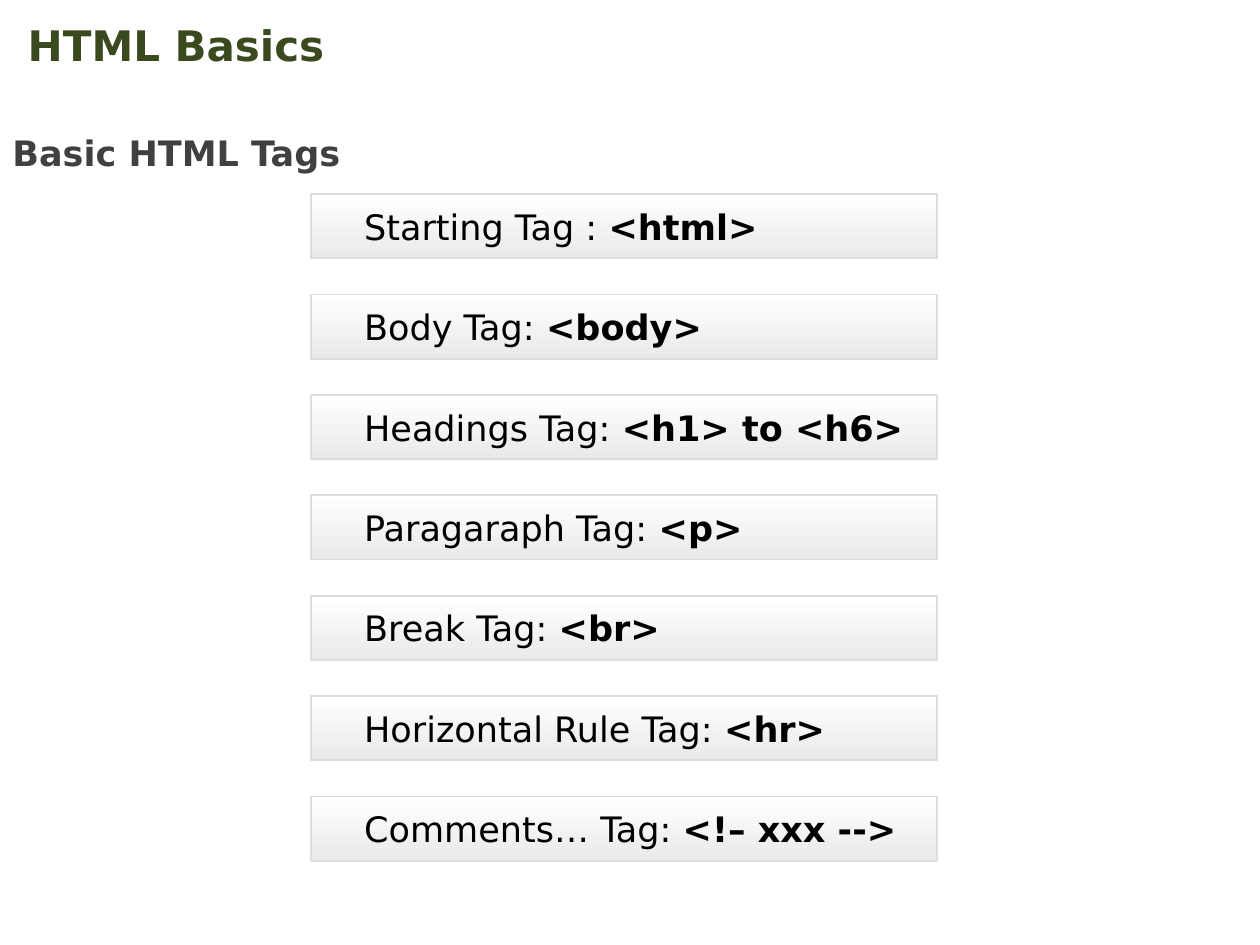
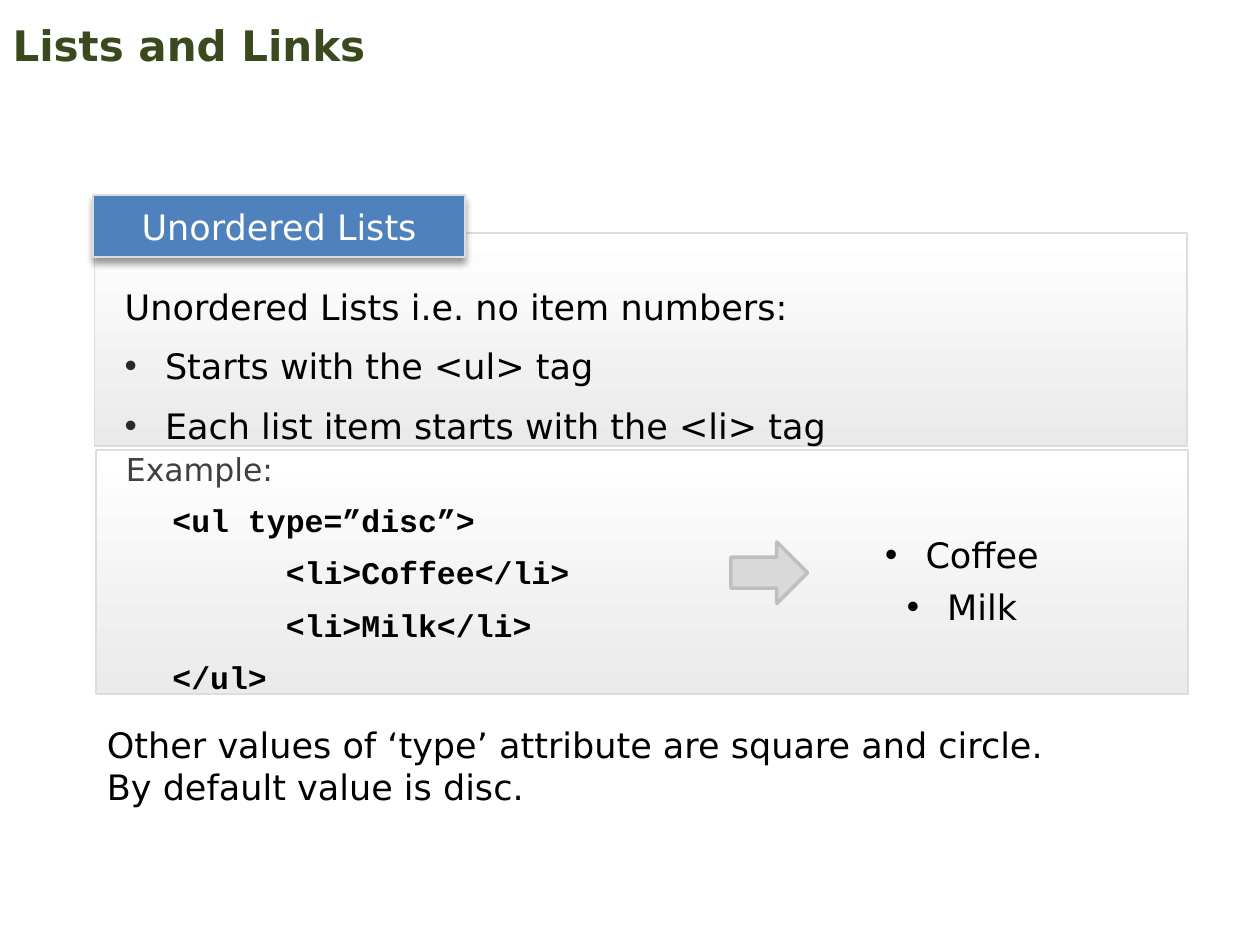
from lxml.etree import SubElement
from pptx import Presentation
from pptx.dml.color import RGBColor
from pptx.enum.shapes import MSO_SHAPE
from pptx.enum.text import MSO_ANCHOR, MSO_AUTO_SIZE, PP_ALIGN
from pptx.oxml.ns import qn
from pptx.util import Inches, Pt

SANS, MONO = "DejaVu Sans", "Courier New"
TITLE_GREEN, HEADING_GREY, BULLET_GREY = "3B4A1E", "404040", "292929"
BLACK, WHITE, BLUE = "000000", "FFFFFF", "4F81BD"
PANEL_BOTTOM, PANEL_LINE = "EAEAEA", "DDDDDD"
ARROW_FILL, ARROW_LINE = "D9D9D9", "BFBFBF"
TEXT_INSETS = (0.1, 0.05, 0.1, 0.05)
PANEL_INSETS = (0.24, 0, 0.04, 0)
BULLET_INDENT = 0.32

TAGS = [
    ("Starting Tag : ", "<html>"),
    ("Body Tag: ", "<body>"),
    ("Headings Tag: ", "<h1> to <h6>"),
    ("Paragaraph Tag: ", "<p>"),
    ("Break Tag: ", "<br>"),
    ("Horizontal Rule Tag: ", "<hr>"),
    ("Comments… Tag: ", "<!– xxx -->"),
]


def colour(value):
    """Turn a hex string into a colour."""
    return RGBColor.from_string(value)


def set_frame(frame, insets=TEXT_INSETS, anchor=MSO_ANCHOR.TOP):
    """Set wrapping, insets and anchor of a text frame and return it."""
    frame.word_wrap = True
    frame.auto_size = MSO_AUTO_SIZE.NONE
    frame.vertical_anchor = anchor
    frame.margin_left, frame.margin_top, frame.margin_right, frame.margin_bottom = map(Inches, insets)
    return frame


def add_bullet(para, bullet_colour):
    """Give a paragraph a hanging round bullet."""
    properties = para._p.get_or_add_pPr()
    properties.set("marL", str(Inches(BULLET_INDENT)))
    properties.set("indent", str(-Inches(BULLET_INDENT)))
    if bullet_colour:
        SubElement(SubElement(properties, qn("a:buClr")), qn("a:srgbClr"), val=bullet_colour)
    SubElement(properties, qn("a:buFont"), typeface="Arial")
    SubElement(properties, qn("a:buChar"), char="•")


def write(frame, text, bold_text="", size=20, font=SANS, ink=BLACK, bold=False, align=PP_ALIGN.LEFT,
          spacing=None, after=None, indent=0, bullet=False, bullet_colour=None):
    """Add one paragraph, with an optional bold ending, to a text frame."""
    first = frame.paragraphs[0]
    para = frame.add_paragraph() if first.runs else first
    para.alignment = align
    if spacing:
        para.line_spacing = spacing
    if after:
        para.space_after = Pt(after)
    if bullet:
        add_bullet(para, bullet_colour)
    elif indent:
        para._p.get_or_add_pPr().set("marL", str(Inches(indent)))
    for part, heavy in ((text, bold), (bold_text, True)):
        if part:
            span = para.add_run()
            span.text = part
            span.font.name, span.font.size, span.font.bold = font, Pt(size), heavy
            span.font.color.rgb = colour(ink)


def add_text_box(page, box, **frame_format):
    """Add a text box and return its text frame."""
    return set_frame(page.shapes.add_textbox(*map(Inches, box)).text_frame, **frame_format)


def add_box(page, box, kind=MSO_SHAPE.RECTANGLE, fill=None, line=PANEL_LINE, width=1):
    """Add a shape with a plain fill, or the shared gradient when no fill is given."""
    shape = page.shapes.add_shape(kind, *map(Inches, box))
    shape.shadow.inherit = False
    if fill:
        shape.fill.solid()
        shape.fill.fore_color.rgb = colour(fill)
    else:
        shape.fill.gradient()
        shape.fill.gradient_angle = 270
        for stop, value in zip(shape.fill.gradient_stops, (WHITE, PANEL_BOTTOM)):
            stop.color.rgb = colour(value)
    shape.line.color.rgb = colour(line)
    shape.line.width = Pt(width)
    return shape


def add_drop_shadow(shape):
    """Give a shape a soft shadow below it."""
    effects = shape._element.spPr.find(qn("a:effectLst"))
    shadow = SubElement(effects, qn("a:outerShdw"), blurRad=str(Pt(4)), dist=str(Pt(3)),
                        dir="5400000", algn="t", rotWithShape="0")
    tint = SubElement(shadow, qn("a:srgbClr"), val=BLACK)
    SubElement(tint, qn("a:alpha"), val="40000")


def add_titled_page(deck, title, inset=0.1):
    """Add a title-only slide with its title at the top left."""
    page = deck.slides.add_slide(deck.slide_layouts[5])
    holder = page.shapes.title
    holder.left, holder.top, holder.width, holder.height = map(Inches, (0, 0.14, 9, 0.43))
    frame = set_frame(holder.text_frame, (inset, 0.05, 0.1, 0.05), MSO_ANCHOR.MIDDLE)
    write(frame, title, size=24, ink=TITLE_GREEN, bold=True)
    return page


def add_tag_rows(page, left, top, width, height, pitch):
    """Stack one panel for each tag at an equal pitch."""
    for row, (label, tag) in enumerate(TAGS):
        panel = add_box(page, (left, top + row * pitch, width, height))
        frame = set_frame(panel.text_frame, PANEL_INSETS, MSO_ANCHOR.MIDDLE)
        write(frame, label, tag, indent=0.18)


def add_example(page, left, top, width, height):
    """Show list code, an arrow and the resulting list in a panel."""
    panel = add_box(page, (left, top, width, height))
    write(set_frame(panel.text_frame, PANEL_INSETS), "Example:", size=18, ink=HEADING_GREY)

    code = add_text_box(page, (left + 0.51, top + 0.24, 4.17, 1.79))
    for line, indent in (("<ul type=”disc”>", 0), ("<li>Coffee</li>", 0.9),
                         ("<li>Milk</li>", 0.9), ("</ul>", 0)):
        write(code, line, size=18, font=MONO, bold=True, spacing=Pt(30), indent=indent)

    result = add_text_box(page, (left + 5.29, top + 0.53, 3.17, 0.9))
    for item in ("Coffee", "Milk"):
        write(result, item, align=PP_ALIGN.CENTER, spacing=Pt(30), bullet=True)

    add_box(page, (left + 5.04, top + 0.73, 0.61, 0.49), MSO_SHAPE.RIGHT_ARROW,
            ARROW_FILL, ARROW_LINE, 2)


def add_explanation(page, left, top, width, height):
    """Explain unordered lists in a panel with a label on its top edge."""
    panel = add_box(page, (left, top, width, height))
    frame = set_frame(panel.text_frame, PANEL_INSETS, MSO_ANCHOR.BOTTOM)
    write(frame, "Unordered Lists i.e. no item numbers:", spacing=Pt(30), after=4)
    for item in ("Starts with the <ul> tag", "Each list item starts with the <li> tag"):
        write(frame, item, spacing=Pt(30), after=4, bullet=True, bullet_colour=BULLET_GREY)

    label = add_box(page, (left - 0.01, top - 0.3, 2.95, 0.49), fill=BLUE)
    add_drop_shadow(label)
    frame = set_frame(label.text_frame, (0, 0, 0, 0), MSO_ANCHOR.MIDDLE)
    write(frame, "Unordered Lists", ink=WHITE, align=PP_ALIGN.CENTER)


def build_basics(deck):
    """Build the slide of basic tags."""
    page = add_titled_page(deck, "HTML Basics", inset=0.22)
    heading = add_text_box(page, (0, 0.83, 3.85, 0.54))
    write(heading, "Basic HTML Tags", ink=HEADING_GREY, bold=True, spacing=1.5)
    add_tag_rows(page, 2.47, 1.54, 4.97, 0.51, pitch=0.797)


def build_lists(deck):
    """Build the slide about unordered lists."""
    page = add_titled_page(deck, "Lists and Links")
    add_example(page, 0.76, 3.57, 8.67, 1.94)
    add_explanation(page, 0.75, 1.85, 8.67, 1.69)
    note = add_text_box(page, (0.75, 5.69, 8.69, 0.77))
    write(note, "Other values of ‘type’ attribute are square and circle.")
    write(note, "By default value is disc.")


def main():
    """Build and save the deck."""
    deck = Presentation()
    deck.slide_width, deck.slide_height = Inches(10), Inches(7.5)
    build_basics(deck)
    build_lists(deck)
    deck.save("out.pptx")


if __name__ == "__main__":
    main()
